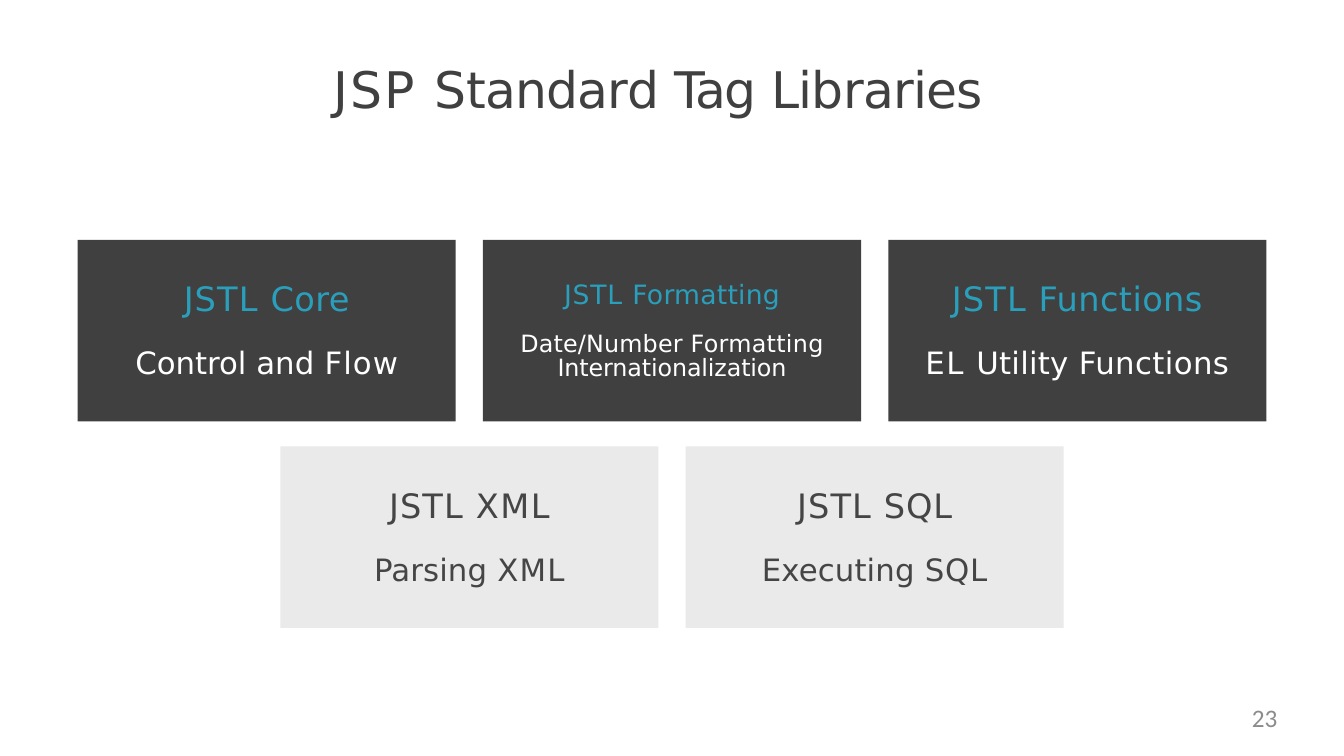
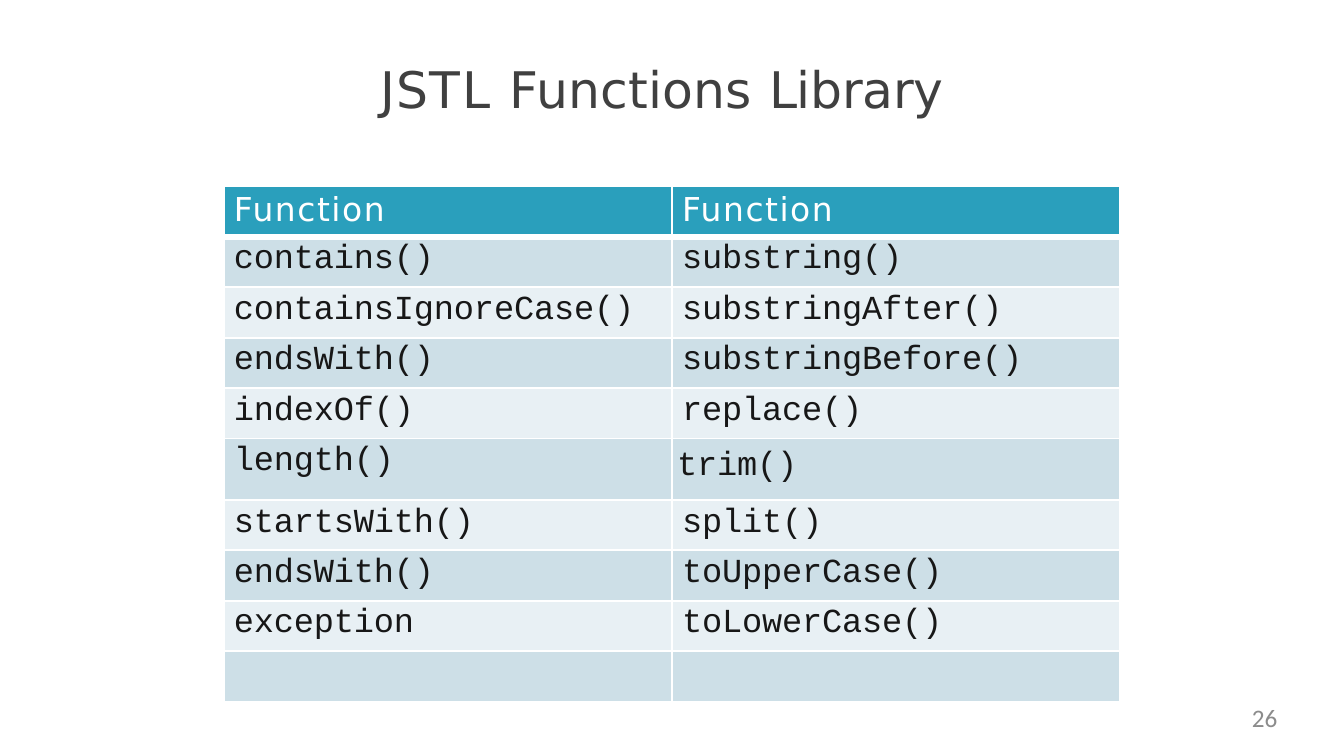
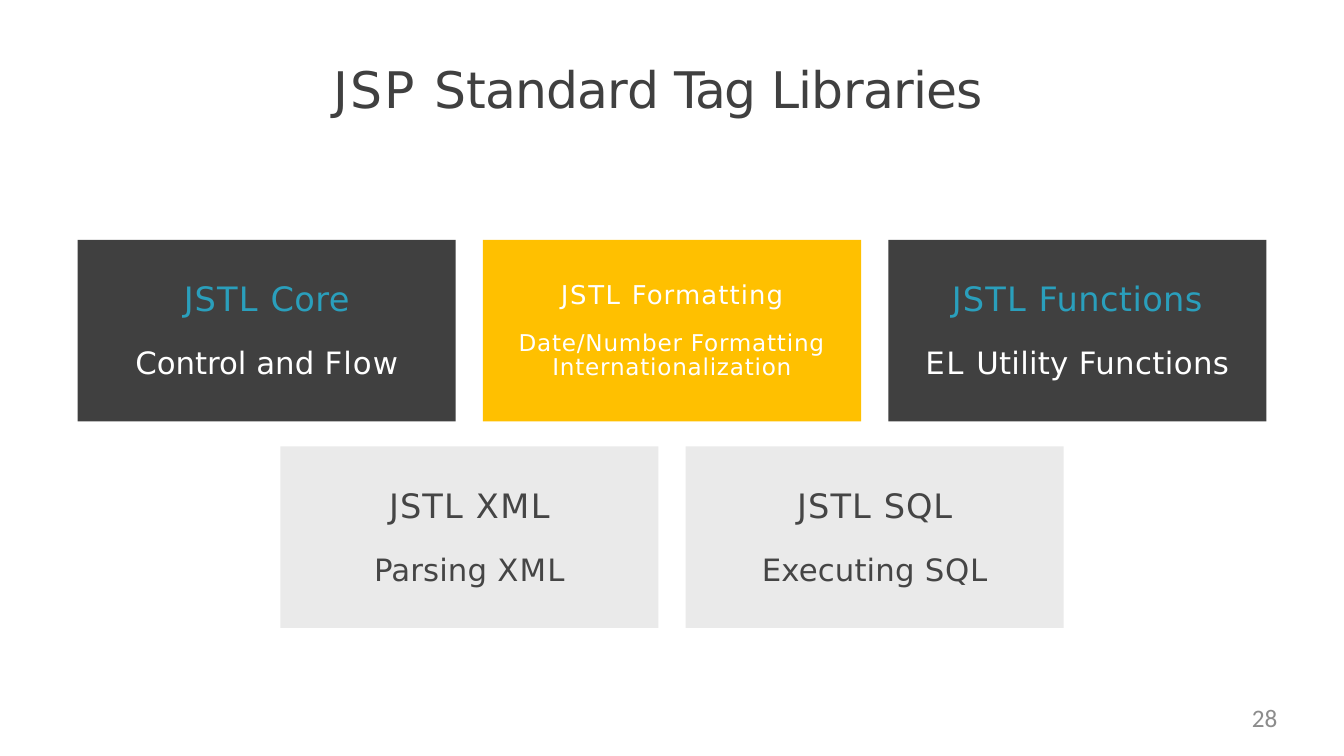
from lxml import etree
from pptx import Presentation
from pptx.dml.color import RGBColor as RGB
from pptx.enum.shapes import MSO_SHAPE as Kind
from pptx.enum.text import MSO_ANCHOR as Anchor, PP_ALIGN as Align
from pptx.oxml.ns import qn
from pptx.util import Inches, Pt

DARK, PALE, GOLD = RGB(0x40, 0x40, 0x40), RGB(0xEA, 0xEA, 0xEA), RGB(0xFF, 0xC0, 0)
TEAL, WHITE, GREY = RGB(0x2A, 0x9F, 0xBC), RGB(255, 255, 255), RGB(0x8C, 0x8C, 0x8C)
SLATE, INK = RGB(0x45, 0x45, 0x45), RGB(0x17, 0x17, 0x17)
BANDS = RGB(0xCD, 0xDF, 0xE7), RGB(0xE8, 0xF0, 0xF4)
SANS, MONO, FOOT = "DejaVu Sans", "Courier New", "Calibri"

deck = Presentation()
deck.slide_width, deck.slide_height = Inches(13.33), Inches(7.5)


def write(par, runs, size, color, face=SANS, align=Align.LEFT):
    """Fill a paragraph with (text, letter spacing in points) runs."""
    par.alignment = align
    font = par.font
    font.size, font.name, font.bold = Pt(size), face, False
    font.color.rgb = color
    for text, gap in runs:
        run = par.add_run()
        run.text = text
        run.font._element.set("spc", str(round(gap * 100)))


def begin(runs, width, number):
    """Add a slide with its title and page number."""
    slide = deck.slides.add_slide(deck.slide_layouts[5])
    head = slide.shapes.title
    head.left, head.top = Inches(6.62 - width / 2), Inches(0.57)
    head.width, head.height = Inches(width), Inches(0.63)
    foot = slide.shapes.add_textbox(Inches(9.6), Inches(6.97), Inches(3.07), Inches(0.38))
    for box in head, foot:
        frame = box.text_frame
        frame.word_wrap, frame.vertical_anchor = True, Anchor.TOP
        frame.margin_left = frame.margin_right = 0
        frame.margin_top = frame.margin_bottom = 0
    head.text_frame.margin_top = Inches(0.01)
    write(head.text_frame.paragraphs[0], runs, 36, DARK)
    write(foot.text_frame.paragraphs[0], [(number, 0)], 18, GREY, FOOT, Align.RIGHT)
    return slide


# Tiles: column, row, heading runs, body runs
TILES = [
    (0, 0, [("JSTL ", 0.8), ("Core", 0.3)],
     [("Control ", 0), ("and ", 0.1), ("Flow", 0.8)]),
    (2, 0, [("JSTL ", 0.8), ("Functions", 0.3)],
     [("EL ", 1.1), ("Utility ", 0.2), ("Functions", 0.3)]),
    (0.5, 1, [("JSTL ", 0.8), ("XML", 1.1)], [("Parsing ", 0.1), ("XML", 0.9)]),
    (1.5, 1, [("JSTL ", 0.8), ("SQL", 0.6)], [("Executing ", 0.1), ("SQL", 0.6)]),
]
PLAIN = (1, 0, [("JSTL ", 0.6), ("Formatting", 0.2)],
         [("Date/Number ", 0.1), ("Formatting ", 0.2), ("Internationalization", -0.1)])
LIT = (1, 0, [("JSTL ", 1.2), ("Formatting", 0.8)],
       [("Date/Number Formatting ", 0.6), ("Internationalization", 0.6)])
STYLES = [(DARK, TEAL, WHITE), (PALE, SLATE, SLATE)]
TAGS = [("JSP ", 1.4), ("Standard ", -0.5), ("Tag ", -1.1), ("Libraries", -0.5)]
FUNCS = [("JSTL ", 1.1), ("Functions ", 0.2), ("Library", -0.2)]

first = begin(TAGS, 6.62, "23")
second = begin(FUNCS, 5.7, "26")
third = begin(TAGS, 6.62, "28")

# Library overview, without and with the formatting tile lit
for slide, middle in (first, PLAIN), (third, LIT):
    for tile in [*TILES, middle]:
        col, row, top, body = tile
        fill, tint, ink = (GOLD, WHITE, WHITE) if tile is LIT else STYLES[row]
        big, small = (19, 17) if tile is PLAIN else (18.5, 16.5) if tile is LIT else (24, 22)
        box = slide.shapes.add_shape(
            Kind.RECTANGLE, Inches(0.77 + 4.02 * col), Inches(2.38 + 2.05 * row),
            Inches(3.75), Inches(1.8))
        box.shadow.inherit = False
        box.fill.solid()
        box.fill.fore_color.rgb = fill
        box.line.fill.background()
        frame = box.text_frame
        frame.word_wrap, frame.vertical_anchor = True, Anchor.TOP
        frame.margin_left = frame.margin_right = frame.margin_bottom = 0
        frame.margin_top = Inches(0.38)
        write(frame.paragraphs[0], top, big, tint, align=Align.CENTER)
        par = frame.add_paragraph()
        par.space_before = Pt(18.2)
        if tile is middle:
            par.space_before, par.line_spacing = Pt(16.5), Pt(17)
        write(par, body, small, ink, align=Align.CENTER)

# Function table
ROWS = [
    ("Function", "Function"),
    ("contains()", "substring()"),
    ("containsIgnoreCase()", "substringAfter()"),
    ("endsWith()", "substringBefore()"),
    ("indexOf()", "replace()"),
    ("length()", "trim()"),
    ("startsWith()", "split()"),
    ("endsWith()", "toUpperCase()"),
    ("exception", "toLowerCase()"),
    ("", ""),
]
grid = second.shapes.add_table(
    len(ROWS), 2, Inches(2.22), Inches(1.85), Inches(8.89), Inches(5.11)).table
grid.first_row = grid.horz_banding = False
for r, texts in enumerate(ROWS):
    grid.rows[r].height = Inches(0.61 if "trim()" in texts else 0.5)
    for c, text in enumerate(texts):
        cell = grid.cell(r, c)
        inset = (0.05, 0.09) if text == "trim()" else (0.1, 0.04)
        cell.margin_left, cell.margin_top = map(Inches, inset)
        cell.margin_right = cell.margin_bottom = 0
        props = cell._tc.get_or_add_tcPr()
        for side in "LRTB":
            thick = (r, side) in ((0, "B"), (1, "T"))
            line = etree.SubElement(props, qn("a:ln" + side), w=str(Pt(4.25 if thick else 1.5)))
            paint = etree.SubElement(line, qn("a:solidFill"))
            etree.SubElement(paint, qn("a:srgbClr"), val=str(WHITE))
        cell.fill.solid()
        cell.fill.fore_color.rgb = BANDS[(r - 1) % 2] if r else TEAL
        par = cell.text_frame.paragraphs[0]
        if r == 0:
            write(par, [(text, 1.1)], 23.5, WHITE)
        elif text:
            write(par, [(text, -0.1)], 24, INK, MONO)

deck.save("out.pptx")
